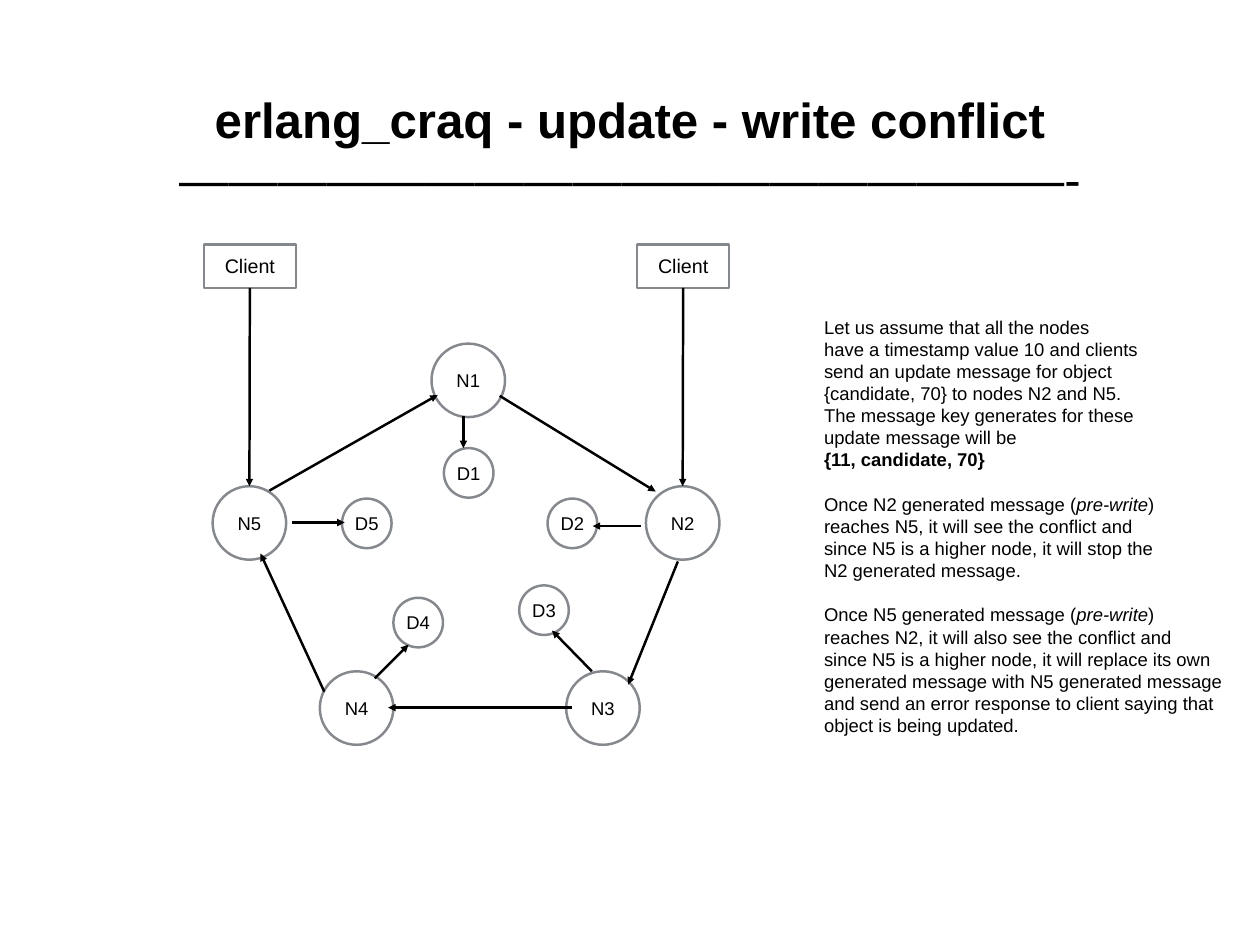
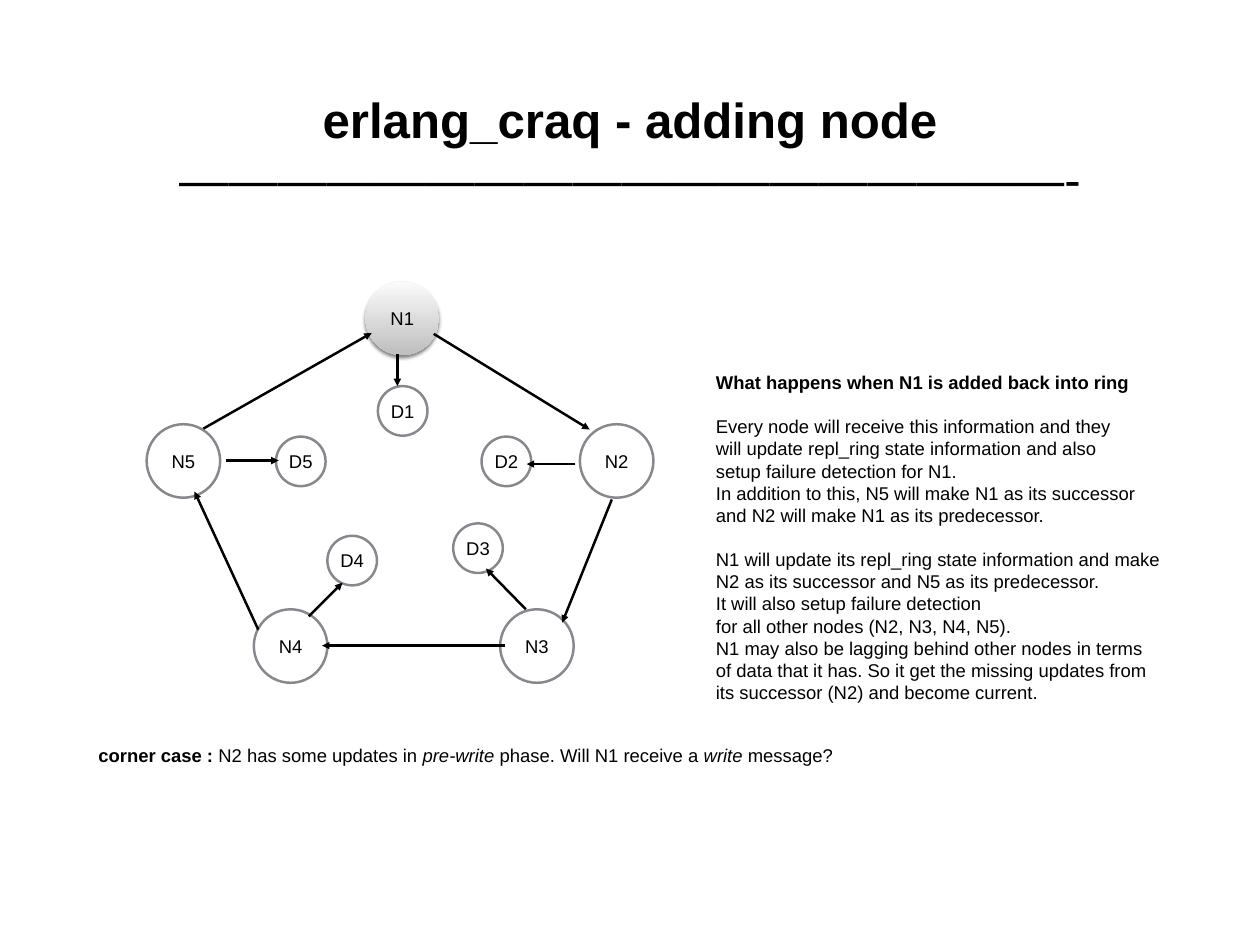
from lxml import etree
from pptx import Presentation
from pptx import util as u
from pptx.dml.color import RGBColor
from pptx.enum import shapes, text
from pptx.oxml.ns import qn

BLACK = RGBColor(0x00, 0x00, 0x00)
GRAY = RGBColor(0x85, 0x88, 0x8D)
GRAD_TOP = RGBColor(0xFB, 0xFB, 0xFB)
GRAD_BOTTOM = RGBColor(0xBE, 0xBE, 0xBE)
FONT = "Arial"
BODY_SIZE = 15
LINE_WIDTH = u.Pt(2)
BLOCK_GAP = u.Pt(18)

# All lengths are in cells of a square grid, ten cells to the inch.
CELL = u.Inches(0.1)
SLIDE_SIZE = (142.2, 106.7)
TITLE_BOX = (10.4, 4.9, 121.4, 23.6)
TITLE_RULE = "—" * 18 + "-"
INSET = 0.6
NODE_SIZE, DATA_SIZE = 8.3, 5.6
CLIENT_SIZE = (10.4, 4.9)

# Centres and arrows are measured from the ring's top left corner.
NODES = {"N1": (28.85, 4.15), "N2": (53.05, 20.25), "N3": (44.05, 41.15),
         "N4": (16.25, 41.15), "N5": (4.15, 20.25)}
DATA = {"D1": (28.9, 14.6), "D2": (40.6, 20.3), "D3": (37.4, 30.1),
        "D4": (23.2, 30.3 + 1.2), "D5": (17.4, 20.3)}
RING_ARROWS = [
    ((32.4, 5.9), (50, 16.7)), ((52.5, 24.6), (46.9, 38.5)),
    ((40.5, 41.1), (19.8, 41.1)), ((12.6, 39.3), (5.4, 23.7)),
    ((6.4, 16.6), (25.4, 5.8)),
]
DATA_ARROWS = [
    ((28.3, 8.2), (28.3, 11.8)), ((48.4, 20.6), (42.9, 20.6)),
    ((42.8, 37), (38.3, 32.4)), ((18.3, 37.8), (22.1, 34)),
    ((9, 20.2), (14.9, 20.2)),
]

CONFLICT_TEXT = [
    ["Let us assume that all the nodes",
     "have a timestamp value 10 and clients",
     "send an update message for object",
     "{candidate, 70} to nodes N2 and N5.",
     "The message key generates for these",
     "update message will be",
     [("{11, candidate, 70}", "b")]],
    [[("Once N2 generated message (", ""), ("pre-write", "i"), (")", "")],
     "reaches N5, it will see the conflict and",
     "since N5 is a higher node, it will stop the",
     "N2 generated message."],
    [[("Once N5 generated message (", ""), ("pre-write", "i"), (")", "")],
     "reaches N2, it will also see the conflict and",
     "since N5 is a higher node, it will replace its own",
     "generated message with N5 generated message",
     "and send an error response to client saying that",
     "object is being updated."],
]
ADDING_TEXT = [
    [[("What happens when N1 is added back into ring", "b")]],
    ["Every node will receive this information and they",
     "will update repl_ring state information and also",
     "setup failure detection for N1.",
     "In addition to this, N5 will make N1 as its successor",
     "and N2 will make N1 as its predecessor."],
    ["N1 will update its repl_ring state information and make",
     "N2 as its successor and N5 as its predecessor.",
     "It will also setup failure detection",
     "for all other nodes (N2, N3, N4, N5).",
     "N1 may also be lagging behind other nodes in terms",
     "of data that it has. So it get the missing updates from",
     "its successor (N2) and become current."],
]
CORNER_CASE = [[[
    ("corner case : ", "b"), ("N2 has some updates in ", ""),
    ("pre-write ", "i"), ("phase. Will N1 receive a ", ""),
    ("write ", "i"), ("message?", "")]]]


def cells(*lengths):
    return [round(n * CELL) for n in lengths]


def set_font(p, size, bold=False):
    p.font.name = FONT
    p.font.size = u.Pt(size)
    p.font.bold = bold
    p.font.color.rgb = BLACK


def set_frame(tf, inset, wrap=True):
    tf.auto_size = text.MSO_AUTO_SIZE.NONE
    tf.word_wrap = wrap
    tf.vertical_anchor = text.MSO_ANCHOR.MIDDLE
    tf.margin_left = tf.margin_right = round(inset * CELL)
    tf.margin_top = tf.margin_bottom = round(inset * CELL)


def add_titled_slide(prs, title):
    slide = prs.slides.add_slide(prs.slide_layouts[5])
    sp = slide.shapes.title
    sp.left, sp.top, sp.width, sp.height = cells(*TITLE_BOX)
    tf = sp.text_frame
    set_frame(tf, INSET)
    tf.text = f"{title}\n{TITLE_RULE}"
    for p, bold in zip(tf.paragraphs, (True, False)):
        p.alignment = text.PP_ALIGN.CENTER
        set_font(p, 40, bold)
    return slide


def add_labelled(slide, kind, center, size, label, font_size=BODY_SIZE):
    """Add an outlined shape around its centre, with its label inside."""
    (x, y), (w, h) = center, size
    sp = slide.shapes.add_shape(kind, *cells(x - w / 2, y - h / 2, w, h))
    sp.shadow.inherit = False
    sp.fill.background()
    sp.line.color.rgb = GRAY
    sp.line.width = LINE_WIDTH
    set_frame(sp.text_frame, 0, wrap=False)
    p = sp.text_frame.paragraphs[0]
    p.text = label
    p.alignment = text.PP_ALIGN.CENTER
    set_font(p, font_size)
    return sp


def highlight(sp):
    """Replace the outline by a gray gradient and a soft shadow."""
    sp.line.fill.background()
    sp.fill.gradient()
    sp.fill.gradient_angle = 270
    for stop, color in zip(sp.fill.gradient_stops, (GRAD_TOP, GRAD_BOTTOM)):
        stop.color.rgb = color
    effects = sp._element.spPr.find(qn("a:effectLst"))
    shadow = etree.SubElement(
        effects, qn("a:outerShdw"), blurRad=str(u.Pt(3)), dist=str(u.Pt(2)),
        dir="5400000", rotWithShape="0")
    color = etree.SubElement(shadow, qn("a:srgbClr"), val=str(BLACK))
    etree.SubElement(color, qn("a:alpha"), val="50000")


def add_arrow(slide, start, end):
    line = slide.shapes.add_connector(
        shapes.MSO_CONNECTOR.STRAIGHT, *cells(*start, *end))
    line.line.color.rgb = BLACK
    line.line.width = LINE_WIDTH
    etree.SubElement(line.line._get_or_add_ln(), qn("a:tailEnd"),
                     type="triangle")
    etree.SubElement(line._element.spPr, qn("a:effectLst"))
    return line


def add_ring(slide, left, top):
    """Draw the node ring and return its circles by label."""
    def place(point):
        return left + point[0], top + point[1]

    circles = {}
    for spots, size in ((NODES, NODE_SIZE), (DATA, DATA_SIZE)):
        for label, center in spots.items():
            circles[label] = add_labelled(
                slide, shapes.MSO_SHAPE.OVAL, place(center), (size, size),
                label)
    for start, end in DATA_ARROWS + RING_ARROWS:
        add_arrow(slide, place(start), place(end))
    return circles


def add_client(slide, center, node):
    """Add a client box whose arrow drops to the top of a node."""
    client = add_labelled(slide, shapes.MSO_SHAPE.RECTANGLE, center,
                          CLIENT_SIZE, "Client", 16)
    arrow = add_arrow(slide, center, (center[0], center[1] + 20))
    arrow.begin_connect(client, 2)
    arrow.end_connect(node, 0)


def add_text(slide, box, blocks):
    """Write blocks of lines, with a gap above each block but the first."""
    tf = slide.shapes.add_textbox(*cells(*box)).text_frame
    set_frame(tf, INSET)
    p = None
    for block in blocks:
        for i, line in enumerate(block):
            gap = p is not None and i == 0
            p = tf.paragraphs[0] if p is None else tf.add_paragraph()
            if gap:
                p.space_before = BLOCK_GAP
            set_font(p, BODY_SIZE)
            runs = [(line, "")] if isinstance(line, str) else line
            for content, style in runs:
                r = p.add_run()
                r.text = content
                if style == "b":
                    r.font.bold = True
                elif style == "i":
                    r.font.italic = True


def build_conflict_slide(prs):
    slide = add_titled_slide(prs, "erlang_craq - update - write conflict")
    circles = add_ring(slide, 24, 38.8)
    add_text(slide, (92.4, 35.1, 48, 48.6), CONFLICT_TEXT)
    for x, label in ((28.2, "N5"), (77.1, "N2")):
        add_client(slide, (x, 30.05), circles[label])


def build_adding_slide(prs):
    slide = add_titled_slide(prs, "erlang_craq - adding node")
    circles = add_ring(slide, 16.55, 31.8)
    highlight(circles["N1"])
    add_text(slide, (80.2, 40.1, 59.4, 41.1), ADDING_TEXT)
    add_text(slide, (10.5, 82.2, 106.2, 6.1), CORNER_CASE)


def main():
    prs = Presentation()
    prs.slide_width, prs.slide_height = cells(*SLIDE_SIZE)
    build_conflict_slide(prs)
    build_adding_slide(prs)
    prs.save("out.pptx")


if __name__ == "__main__":
    main()
